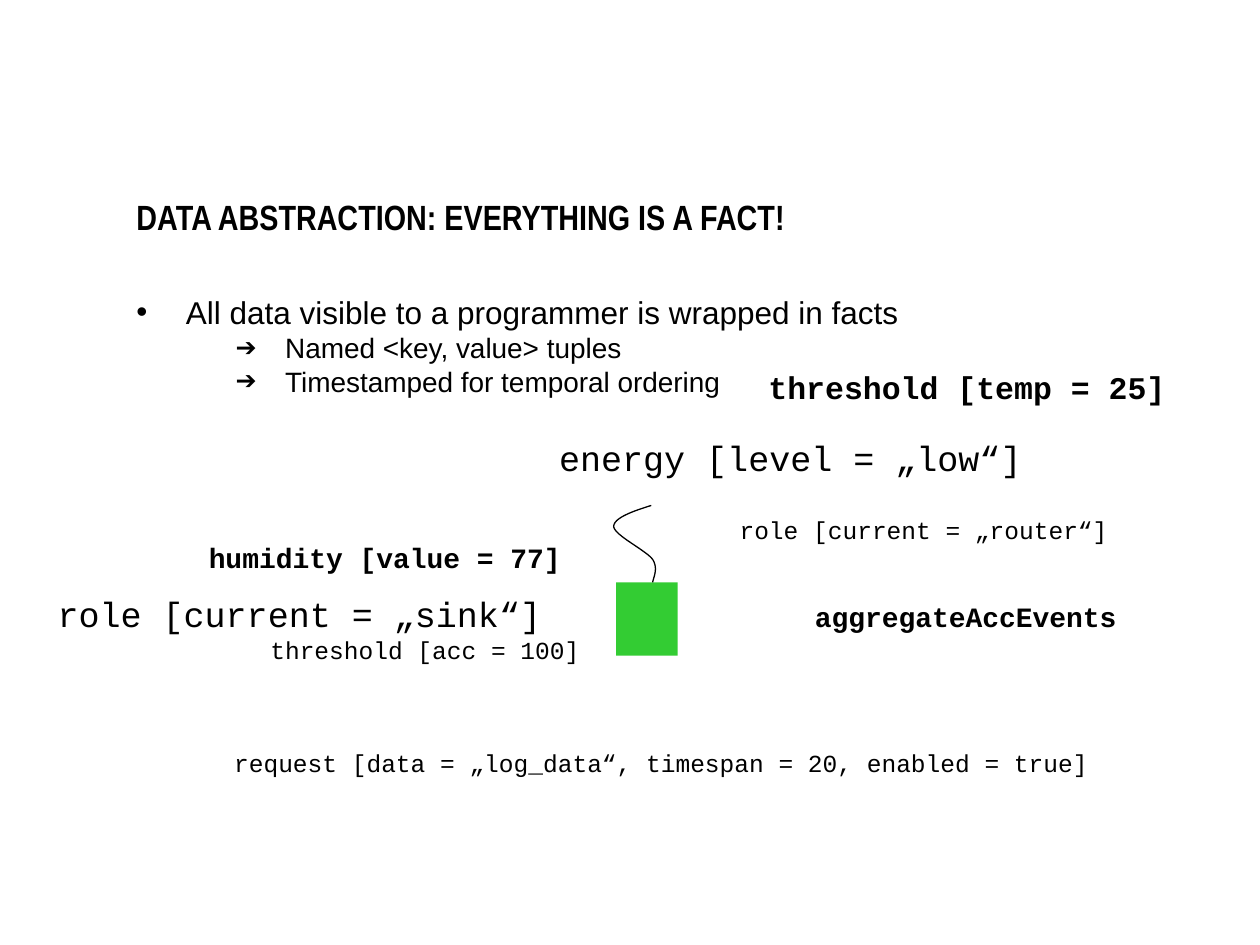
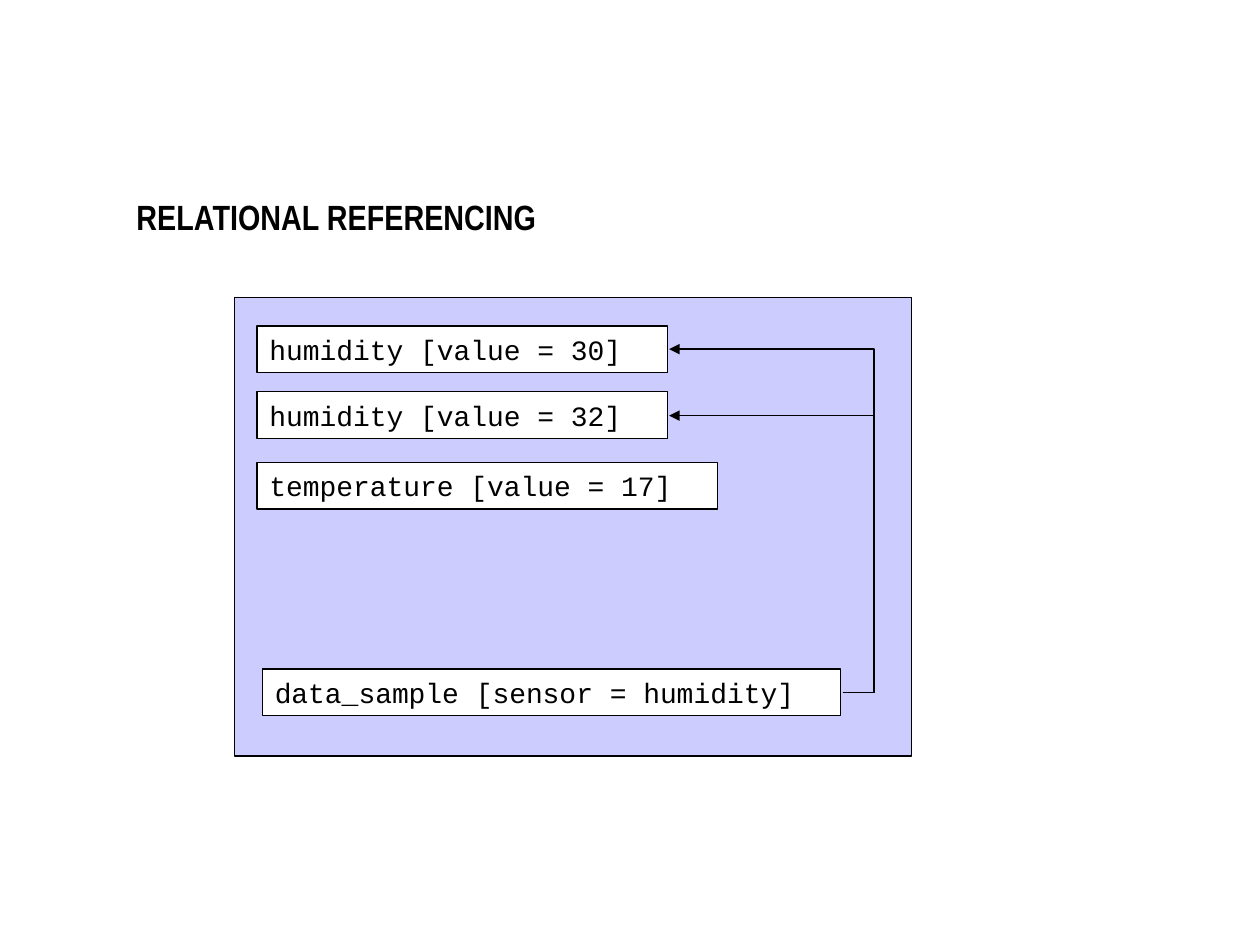
"""Build two slides on facts as data abstraction and relational referencing."""
from lxml.etree import SubElement
from pptx import Presentation
from pptx.dml.color import RGBColor
from pptx.enum.shapes import MSO_CONNECTOR, MSO_SHAPE
from pptx.enum.text import MSO_ANCHOR, PP_ALIGN
from pptx.oxml.ns import qn
from pptx.util import Cm, Pt

BLACK = RGBColor(0, 0, 0)
WHITE = RGBColor(255, 255, 255)
GREEN = RGBColor(0x33, 0xCC, 0x33)
LAVENDER = RGBColor(0xCC, 0xCC, 0xFF)
MONO = "Courier New"


def write(tf, text, size=16, font=MONO, bold=False, anchor=MSO_ANCHOR.TOP, add=False):
    """Write one formatted paragraph and return it."""
    tf.word_wrap = True
    tf.vertical_anchor = anchor
    tf.margin_left = tf.margin_right = Cm(0.25)
    tf.margin_top = tf.margin_bottom = Cm(0.13)
    p = tf.add_paragraph() if add else tf.paragraphs[0]
    p.alignment = PP_ALIGN.LEFT
    r = p.add_run()
    r.text = text
    r.font.size = Pt(size)
    r.font.name = font
    r.font.bold = bold
    r.font.color.rgb = BLACK
    return p


def box(shapes, left, top, width, height, fill, outlined=True):
    """Add a flat rectangle and return it."""
    sp = shapes.add_shape(MSO_SHAPE.RECTANGLE, Cm(left), Cm(top), Cm(width), Cm(height))
    sp.shadow.inherit = False
    sp.fill.solid()
    sp.fill.fore_color.rgb = fill
    if outlined:
        sp.line.color.rgb = BLACK
        sp.line.width = Pt(0.75)
    else:
        sp.line.fill.background()
    return sp


prs = Presentation()
prs.slide_width, prs.slide_height = Cm(25.4), Cm(19.05)

slides = []
for heading in ("DATA ABSTRACTION: EVERYTHING IS A FACT!", "RELATIONAL REFERENCING"):
    s = prs.slides.add_slide(prs.slide_layouts[5])
    title = s.shapes.title
    title.left, title.top, title.width, title.height = Cm(2.5), Cm(3.73), Cm(20.4), Cm(1.27)
    write(title.text_frame, heading, size=20, font="Arial Narrow", bold=True, anchor=MSO_ANCHOR.MIDDLE)
    slides.append(s)
facts_slide, reference_slide = slides

tf = facts_slide.shapes.add_textbox(Cm(2.5), Cm(5.92), Cm(20.4), Cm(2.36)).text_frame
points = [
    ("All data visible to a programmer is wrapped in facts", 0),
    ("Named <key, value> tuples", 1),
    ("Timestamped for temporal ordering", 1),
]
for i, (text, level) in enumerate(points):
    p = write(tf, text, size=18 - 2 * level, font="Arial", add=i > 0)
    p.level = level
    p.line_spacing = 0.8
    p.space_before = Pt(4.5 - 0.5 * level)
    pPr = p._p.get_or_add_pPr()
    pPr.set("marL", str(Cm(1 + 2 * level)))
    pPr.set("indent", str(-Cm(1)))
    SubElement(pPr, qn("a:buSzPct"), val=str(100000 - 10000 * level))
    SubElement(pPr, qn("a:buFont"), typeface="Arial")
    SubElement(pPr, qn("a:buChar"), char="•➔"[level])

facts = [
    ("humidity [value = 77]", 3.96, 10.77, 16, True),
    ("role [current = „router“]", 14.66, 10.26, 14, False),
    ("role [current = „sink“]", 0.91, 11.81, 20, False),
    ("request [data = „log_data“, timespan = 20, enabled = true]", 4.47, 14.94, 14, False),
    ("aggregateAccEvents", 16.18, 11.96, 16, True),
    ("energy [level = „low“]", 11.02, 8.66, 20, False),
    ("threshold [temp = 25]", 15.24, 7.29, 18, True),
    ("threshold [acc = 100]", 5.2, 12.68, 14, False),
]
for text, left, top, size, bold in facts:
    width = Cm(0.6) + Pt(0.6 * size * len(text))
    sp = facts_slide.shapes.add_textbox(Cm(left), Cm(top), width, Cm(0.26) + Pt(1.15 * size))
    write(sp.text_frame, text, size=size, bold=bold)

node = facts_slide.shapes.add_group_shape()
box(node.shapes, 12.42, 11.74, 1.24, 1.48, GREEN, outlined=False)
start = (13.13, 10.19)
curves = [
    ((12.75, 10.31), (12.37, 10.44), (12.37, 10.62)),
    ((12.4, 10.8), (13.03, 11.1), (13.16, 11.28)),
    ((13.28, 11.48), (13.16, 11.66), (13.16, 11.74)),
]
antenna = node.shapes.build_freeform(Cm(start[0]), Cm(start[1]))
vertices = []
for curve in curves:
    for step in range(1, 13):
        t = step / 12
        weights = ((1 - t) ** 3, 3 * t * (1 - t) ** 2, 3 * t**2 * (1 - t), t**3)
        x, y = (sum(w * pt[axis] for w, pt in zip(weights, (start, *curve))) for axis in (0, 1))
        vertices.append((Cm(x), Cm(y)))
    start = curve[-1]
antenna.add_line_segments(vertices, close=False)
sp = antenna.convert_to_shape()
sp.shadow.inherit = False
sp.fill.background()
sp.line.color.rgb = BLACK
sp.line.width = Pt(0.75)

box(reference_slide.shapes, 4.73, 6, 13.65, 9.24, LAVENDER)
tuples = [
    ("humidity [value = 32]", 5.18, 7.9, 8.28),
    ("humidity [value = 30]", 5.18, 6.57, 8.28),
    ("temperature [value = 17]", 5.18, 9.32, 9.29),
    ("data_sample [sensor = humidity]", 5.29, 13.49, 11.65),
]
for text, left, top, width in tuples:
    sp = box(reference_slide.shapes, left, top, width, 0.94, WHITE)
    write(sp.text_frame, text)

for target in (8.38, 7.04):
    c = reference_slide.shapes.add_connector(MSO_CONNECTOR.ELBOW, Cm(16.99), Cm(13.96), Cm(13.49), Cm(target))
    c.line.color.rgb = BLACK
    c.line.width = Pt(0.75)
    SubElement(c.line._get_or_add_ln(), qn("a:tailEnd"), type="triangle")
    spPr = c._element.spPr
    SubElement(spPr, qn("a:effectLst"))
    SubElement(spPr.find(f".//{qn('a:avLst')}"), qn("a:gd"), name="adj1", fmla="val -18000")

prs.save("out.pptx")
